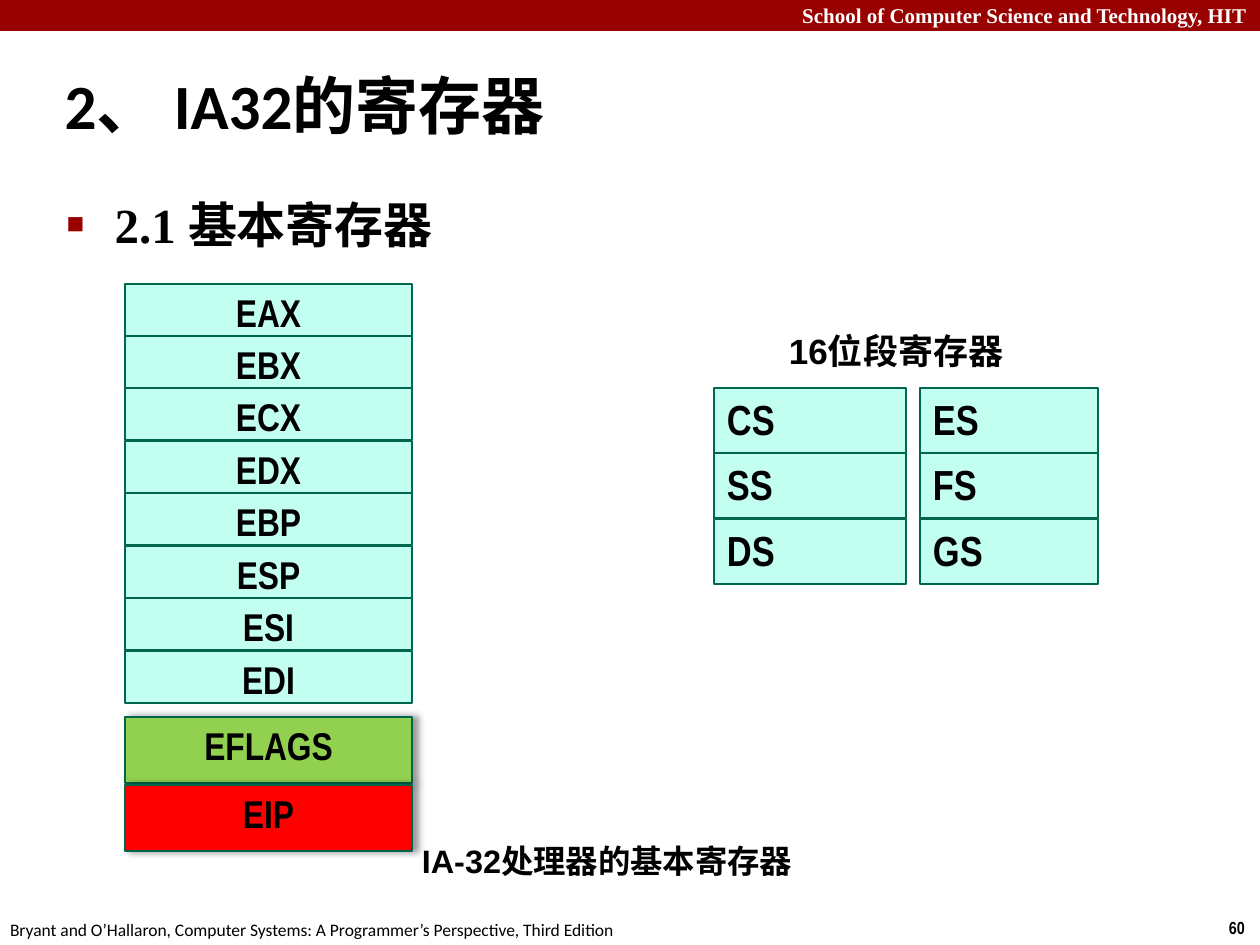
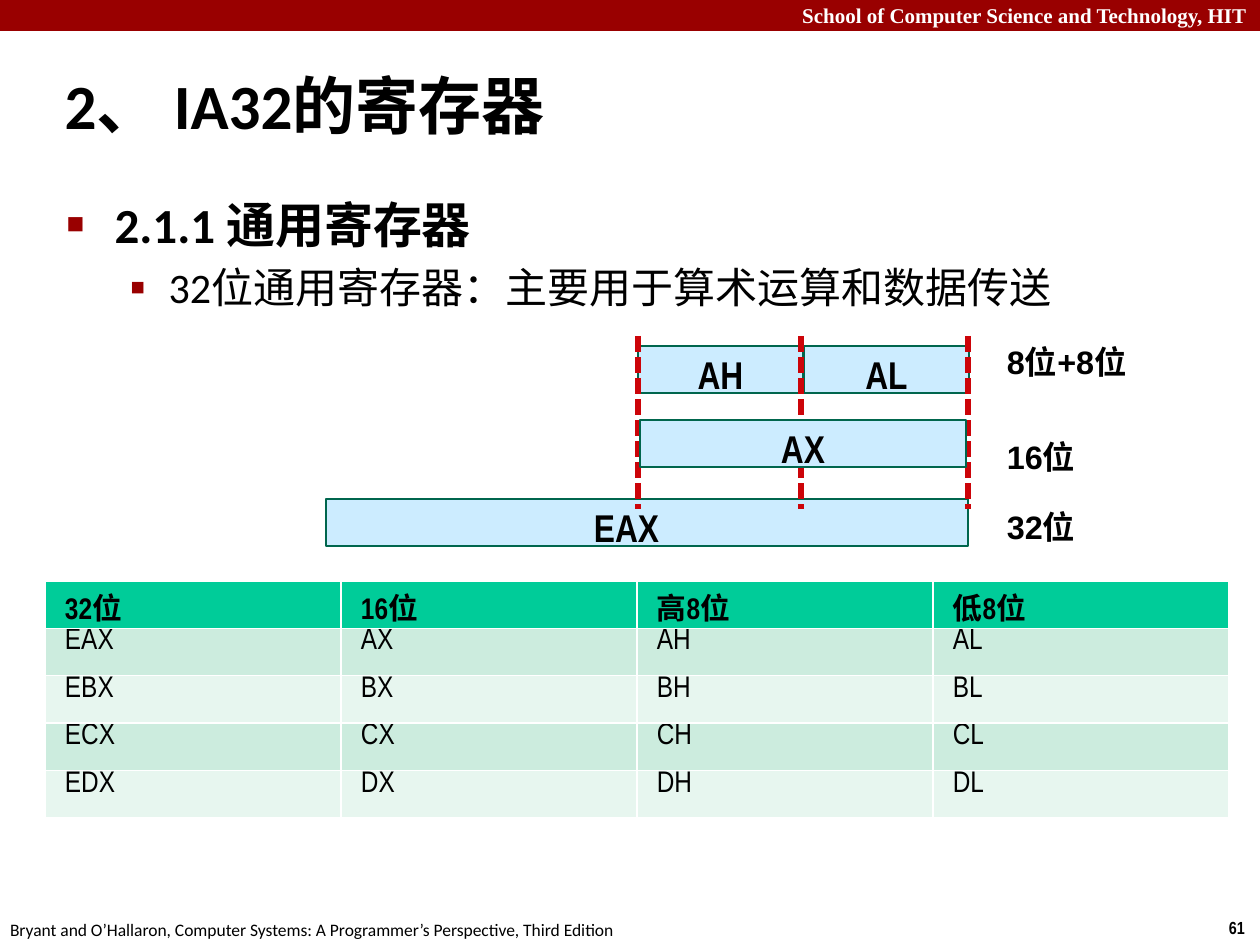
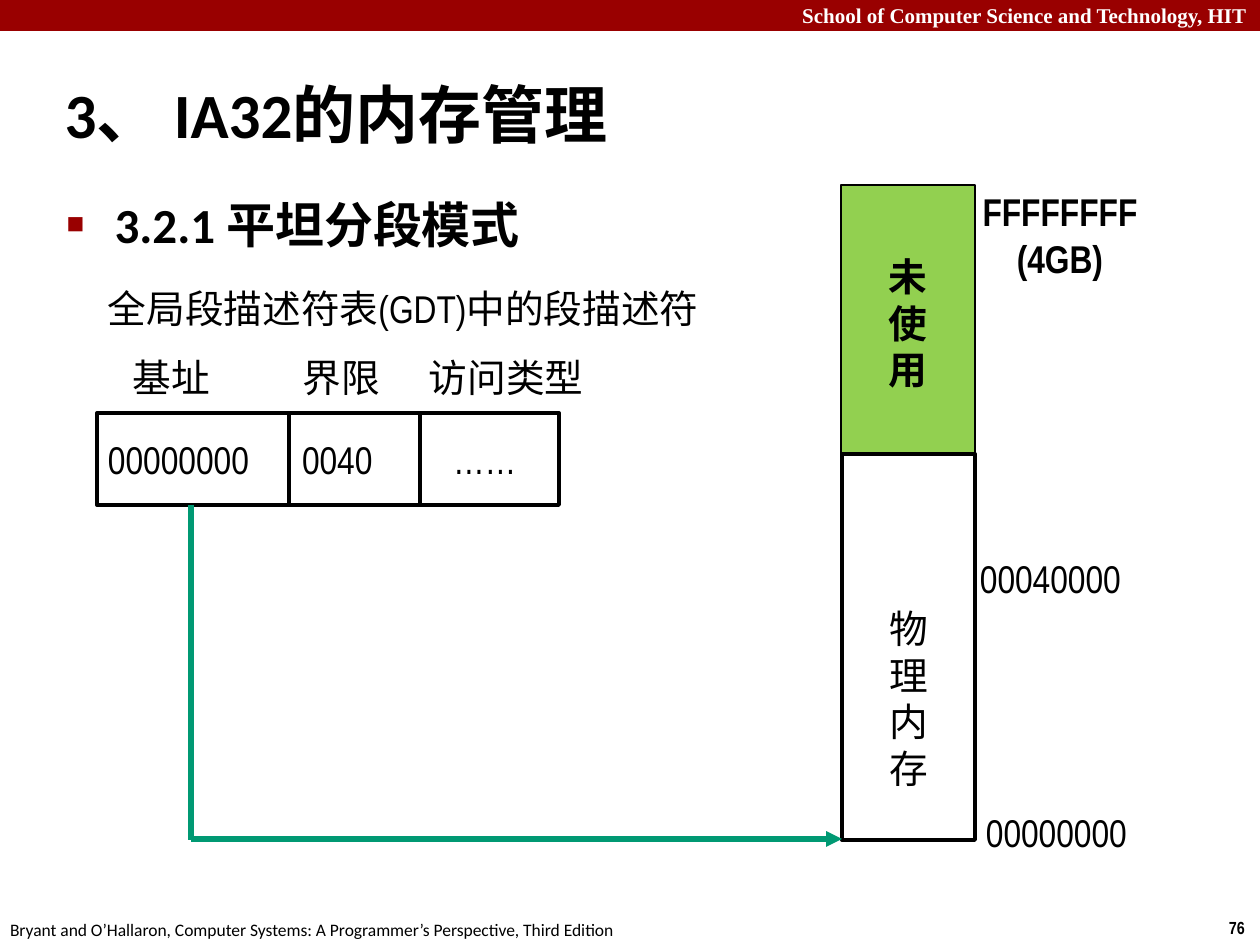
from lxml.etree import SubElement
from pptx import Presentation
from pptx.dml.color import RGBColor
from pptx.enum.dml import MSO_LINE
from pptx.enum.shapes import MSO_CONNECTOR, MSO_SHAPE
from pptx.enum.text import MSO_ANCHOR, MSO_AUTO_SIZE, PP_ALIGN
from pptx.oxml.ns import qn
from pptx.util import Pt

PX = 7257
BLACK, WHITE, CRIMSON = "000000", "FFFFFF", "990000"
MINT, SKY, GREEN, RED = "C2FFF0", "CCECFF", "92D050", "FF0000"
EDGE, DASH, ARROW = "00664D", "CC0409", "009973"
LEFT, CENTER, RIGHT = PP_ALIGN.LEFT, PP_ALIGN.CENTER, PP_ALIGN.RIGHT
TOP, MIDDLE, BOTTOM = MSO_ANCHOR.TOP, MSO_ANCHOR.MIDDLE, MSO_ANCHOR.BOTTOM
NARROW = "Arial Narrow"
LABEL_INSETS = (13, 6, 13, 6)
color = RGBColor.from_string


def style(paragraph, size, font=NARROW, bold=False, ink=BLACK, align=LEFT):
    paragraph.alignment = align
    for span in paragraph.runs:
        span.font.size = Pt(size)
        span.font.name = font
        span.font.bold = bold
        span.font.color.rgb = color(ink)


def add_box(page, text, place, fill=None, edge=None, weight=1.5, size=22.1, font=NARROW, bold=True,
            ink=BLACK, align=LEFT, anchor=TOP, insets=(11, 5, 11, 5), tabs=()):
    lengths = [length * PX for length in place]
    if fill or edge:
        box = page.shapes.add_shape(MSO_SHAPE.RECTANGLE, *lengths)
        box.shadow.inherit = False
    else:
        box = page.shapes.add_textbox(*lengths)
    if fill:
        box.fill.solid()
        box.fill.fore_color.rgb = color(fill)
    else:
        box.fill.background()
    if edge:
        box.line.color.rgb = color(edge)
        box.line.width = Pt(weight)
    else:
        box.line.fill.background()
    frame = box.text_frame
    frame.word_wrap = True
    frame.vertical_anchor = anchor
    frame.margin_left, frame.margin_top, frame.margin_right, frame.margin_bottom = [
        inset * PX for inset in insets]
    frame.text = text
    for paragraph in frame.paragraphs:
        style(paragraph, size, font, bold, ink, align)
        if tabs:
            stops = SubElement(paragraph._p.get_or_add_pPr(), qn("a:tabLst"))
            for stop in tabs:
                SubElement(stops, qn("a:tab"), pos=str(stop * PX), algn="l")
    return box


deck = Presentation()
deck.slide_width, deck.slide_height = 1260 * PX, 945 * PX

outlines = [
    ("60", "2、 IA32的寄存器", MIDDLE, "Times New Roman", ["2.1 基本寄存器"]),
    ("61", "2、 IA32的寄存器", MIDDLE, "Calibri",
     ["2.1.1 通用寄存器", "32位通用寄存器：主要用于算术运算和数据传送"]),
    ("76", "3、 IA32的内存管理", BOTTOM, "Calibri", ["3.2.1 平坦分段模式"]),
]
bullet_levels = [(28, True, 48, -48, "■", 60), (24, False, 102, -39, "▪", 110)]

for number, heading, anchor, font, items in outlines:
    page = deck.slides.add_slide(deck.slide_layouts[1])
    add_box(page, "School of Computer Science and Technology, HIT", (0, 0, 1260, 31), fill=CRIMSON,
            size=12, font="Times New Roman", ink=WHITE, align=RIGHT, anchor=MIDDLE,
            insets=(13, 0, 13, 0))
    add_box(page, number, (1217, 911, 43, 34), size=10, insets=(12, 6, 0, 6))
    add_box(page, "Bryant and O’Hallaron, Computer Systems: A Programmer’s Perspective, Third Edition",
            (0, 913, 640, 32), size=10, font="Calibri", bold=False, insets=(10, 6, 0, 6))

    title = page.shapes.title
    title.left, title.top, title.width, title.height = 52 * PX, 52 * PX, 1207 * PX, 105 * PX
    title.text_frame.text = heading
    title.text_frame.auto_size = MSO_AUTO_SIZE.NONE
    title.text_frame.vertical_anchor = anchor
    style(title.text_frame.paragraphs[0], 36, "Calibri", True)

    body = page.placeholders[1]
    body.left, body.top, body.width, body.height = 54 * PX, 188 * PX, 1184 * PX, 726 * PX
    body.text_frame.text = "\n".join(items)
    body.text_frame.auto_size = MSO_AUTO_SIZE.NONE
    for level, paragraph in enumerate(body.text_frame.paragraphs):
        size, bold, margin, indent, mark, percent = bullet_levels[level]
        paragraph.level = level
        style(paragraph, size, font, bold)
        properties = paragraph._p.get_or_add_pPr()
        properties.set("marL", str(margin * PX))
        properties.set("indent", str(indent * PX))
        SubElement(SubElement(properties, qn("a:buClr")), qn("a:srgbClr"), val=CRIMSON)
        SubElement(properties, qn("a:buSzPct"), val=str(percent * 1000))
        SubElement(properties, qn("a:buFont"), typeface="Arial")
        SubElement(properties, qn("a:buChar"), char=mark)

basic_page, general_page, memory_page = deck.slides

for row, name in enumerate(["EAX", "EBX", "ECX", "EDX", "EBP", "ESP", "ESI", "EDI"]):
    add_box(basic_page, name, (125, 284 + 367 * row // 7, 287, 52), MINT, EDGE, align=CENTER)

for name, top, fill in [("EFLAGS", 717, GREEN), ("EIP", 785, RED)]:
    box = add_box(basic_page, name, (125, top, 287, 66), fill, EDGE, align=CENTER)
    effects = box._element.spPr.find(qn("a:effectLst"))
    shadow = SubElement(effects, qn("a:outerShdw"), blurRad=str(Pt(4)), dist=str(Pt(3)), dir="0")
    shade = SubElement(shadow, qn("a:srgbClr"), val=BLACK)
    SubElement(shade, qn("a:alpha"), val="40000")

for left, width, names in [(714, 192, ["CS", "SS", "DS"]), (920, 178, ["ES", "FS", "GS"])]:
    for row, name in enumerate(names):
        add_box(basic_page, name, (left, 388 + 131 * row // 2, width, 65), MINT, EDGE, size=24,
                insets=LABEL_INSETS)

add_box(basic_page, "16位段寄存器", (776, 323, 287, 55), size=20, font="Arial", insets=LABEL_INSETS)
add_box(basic_page, "IA-32处理器的基本寄存器", (409, 835, 515, 52), size=18.5, font="Arial",
        insets=LABEL_INSETS)

add_box(general_page, "EAX", (326, 499, 642, 47), SKY, EDGE, insets=(268, 5, 11, 5))
add_box(general_page, "AH", (638, 346, 165, 47), SKY, EDGE, align=CENTER)
add_box(general_page, "AL", (804, 346, 165, 47), SKY, EDGE, align=CENTER)
for text, top in [("8位+8位", 336), ("16位", 431), ("32位", 501)]:
    add_box(general_page, text, (994, top, 215, 52), size=18.5, font="Arial", insets=LABEL_INSETS)

register_rows = [["32位", "16位", "高8位", "低8位"]]
for letter in "ABCD":
    register_rows.append([f"E{letter}X", f"{letter}X", f"{letter}H", f"{letter}L"])
table = general_page.shapes.add_table(5, 4, 45 * PX, 581 * PX, 1184 * PX, 237 * PX).table
for row, names in enumerate(register_rows):
    for column, name in enumerate(names):
        cell = table.cell(row, column)
        cell.fill.solid()
        cell.fill.fore_color.rgb = color("00CC99" if row == 0 else ["E7F6EF", "CCECDE"][row % 2])
        cell.margin_left = cell.margin_right = 20 * PX
        cell.margin_top = 4 * PX if row == 0 else 0
        cell.margin_bottom = 0
        cell.text_frame.text = name
        style(cell.text_frame.paragraphs[0], 17, bold=row == 0)

add_box(memory_page, "未\n使\n用", (841, 185, 134, 276), GREEN, BLACK, align=CENTER, anchor=MIDDLE)
add_box(memory_page, "物\n理\n内\n存", (842, 454, 133, 386), WHITE, BLACK, 2.25, bold=False,
        align=CENTER, anchor=BOTTOM, insets=(11, 5, 11, 49))
add_box(memory_page, "00000000\t0040\t……", (97, 413, 462, 92), edge=BLACK, weight=2.25, bold=False,
        anchor=MIDDLE, tabs=(194, 345))
add_box(memory_page, "基址\t界限\t访问类型", (122, 350, 500, 55), bold=False, anchor=BOTTOM,
        tabs=(170, 296))
add_box(memory_page, "全局段描述符表(GDT)中的段描述符", (97, 270, 660, 76), bold=False, anchor=MIDDLE)
add_box(memory_page, "FFFFFFFF\n(4GB)", (961, 186, 198, 97), align=CENTER, anchor=MIDDLE)
for address, left, top in [("00040000", 969, 549), ("00000000", 975, 803)]:
    add_box(memory_page, address, (left, top, 190, 59), bold=False, anchor=MIDDLE)

lines = [(general_page, (x, 336, x, 509), DASH, 3, True, False) for x in (638, 801, 968)]
lines += [(memory_page, (x, 413, x, 505), BLACK, 2.25, False, False) for x in (289, 420)]
lines += [
    (memory_page, (191, 505, 191, 840), ARROW, 3, False, False),
    (memory_page, (191, 839, 842, 839), ARROW, 3, False, True),
]
for page, ends, ink, weight, dashed, pointed in lines:
    line = page.shapes.add_connector(MSO_CONNECTOR.STRAIGHT, *[end * PX for end in ends])
    line.line.color.rgb = color(ink)
    line.line.width = Pt(weight)
    if dashed:
        line.line.dash_style = MSO_LINE.SQUARE_DOT
    if pointed:
        SubElement(line._element.spPr.get_or_add_ln(), qn("a:tailEnd"), type="triangle")
    SubElement(line._element.spPr, qn("a:effectLst"))

add_box(general_page, "AX", (640, 420, 326, 47), SKY, EDGE, align=CENTER)

deck.save("out.pptx")
